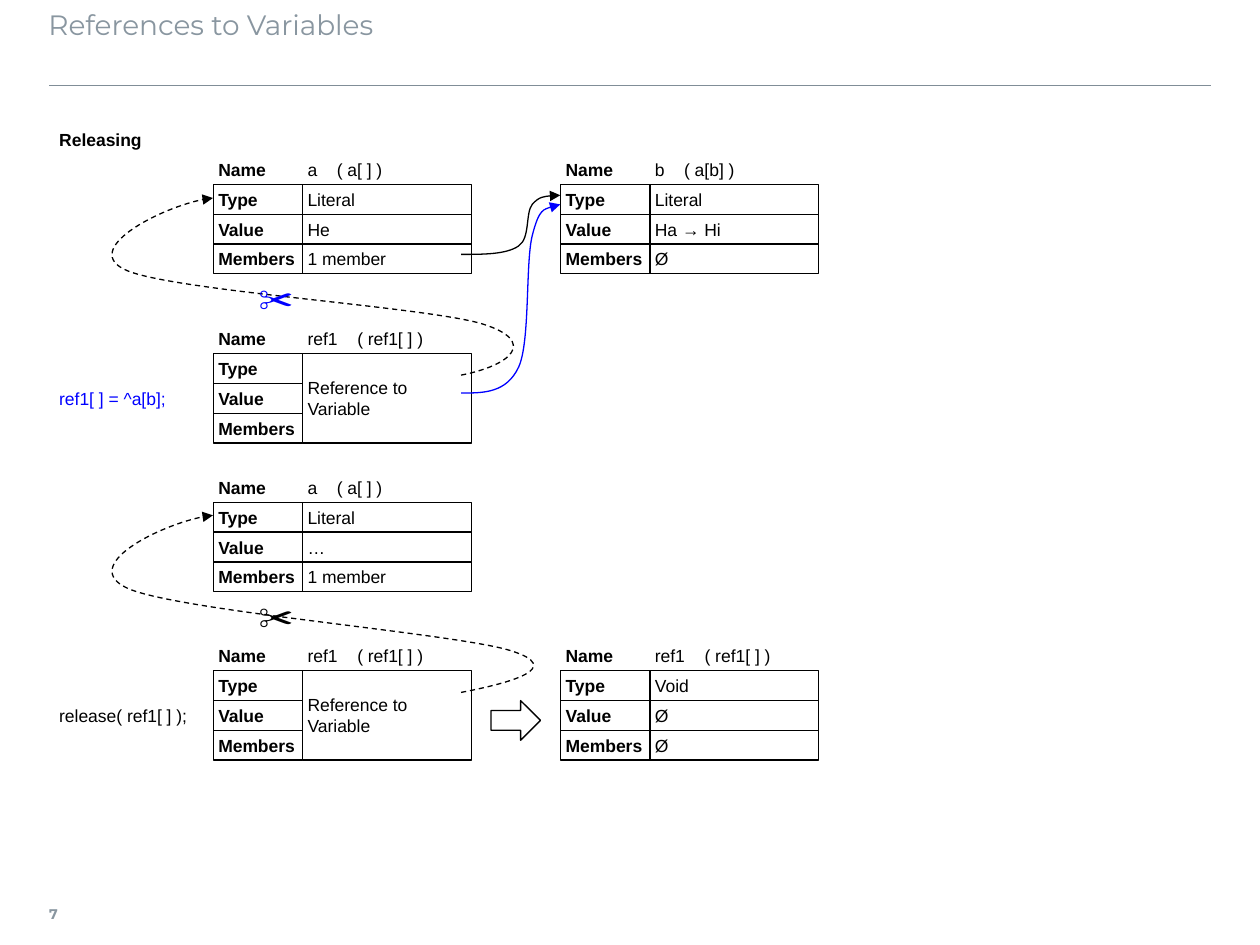
from dataclasses import dataclass

from lxml.etree import SubElement
from pptx import Presentation
from pptx.dml.color import RGBColor
from pptx.enum.dml import MSO_LINE
from pptx.enum.shapes import MSO_CONNECTOR, MSO_SHAPE
from pptx.enum.text import MSO_ANCHOR, PP_ALIGN
from pptx.oxml.ns import qn
from pptx.util import Pt

BLACK = RGBColor(0x00, 0x00, 0x00)
BLUE = RGBColor(0x00, 0x00, 0xFF)
GREY = RGBColor(0x89, 0x96, 0xA0)
RULE = RGBColor(0x80, 0x8D, 0x97)

ROW, KEY, VAL = 17, 51, 96.4
LEFT, RIGHT = 121.9, 320.4
TOPS = (88.5, 185.2, 270.1, 366.3)
EDGE = 2.83
KEYS = ("Type", "Value", "Members")
LINK = ("Reference to\nVariable",)


@dataclass
class Style:
    size: float = 10
    bold: bool = False
    color: RGBColor = BLACK
    font: str = "Arial"
    anchor: MSO_ANCHOR = MSO_ANCHOR.MIDDLE
    pads: tuple = (EDGE, EDGE, 0, EDGE)


@dataclass
class Box:
    left: float
    top: float
    width: float
    height: float


@dataclass
class Card:
    left: float
    top: float
    name: str
    alias: str
    values: tuple


@dataclass
class Curve:
    start: tuple
    bends: list
    color: RGBColor = BLACK
    dashed: bool = False


PLAIN = Style()
BOLD = Style(bold=True)

CARDS = [
    Card(LEFT, TOPS[0], "a", "( a[ ] )", ("Literal", "He", "1 member")),
    Card(LEFT, TOPS[1], "ref1", "( ref1[ ] )", LINK),
    Card(RIGHT, TOPS[0], "b", "( a[b] )", ("Literal", "Ha → Hi", "Ø")),
    Card(LEFT, TOPS[2], "a", "( a[ ] )", ("Literal", "…", "1 member")),
    Card(LEFT, TOPS[3], "ref1", "( ref1[ ] )", LINK),
    Card(RIGHT, TOPS[3], "ref1", "( ref1[ ] )", ("Void", "Ø", "Ø")),
]

CURVES = [
    Curve((263.5, 214.4), [
        ((292.3, 208.8), (307.4, 195.1), (275.8, 185.2)),
        ((244.1, 175.4), (101.5, 166.5), (72.9, 154.8)),
        ((44.4, 143.1), (97.9, 115.2), (121.7, 113.2)),
    ], dashed=True),
    Curve((263.5, 145.4), [
        ((276.5, 145.4), (289.4, 145.4), (296.4, 140.6)),
        ((303.1, 136.1), (300.2, 121.7), (304.2, 116.8)),
        ((308.2, 112.3), (314.6, 111.6), (320.2, 111.6)),
    ]),
    Curve((263.5, 224.6), [
        ((276.5, 224.6), (289.4, 224.6), (296.4, 209.8)),
        ((303.1, 195.1), (300.2, 150.5), (304.2, 134.6)),
        ((308.2, 118.8), (314.6, 118.1), (320.2, 116.8)),
    ], color=BLUE),
    Curve((263.5, 395.7), [
        ((292.3, 390.2), (323.3, 381.6), (291.6, 371.8)),
        ((259.9, 361.9), (101.5, 349.2), (72.9, 336.2)),
        ((44.4, 323.3), (97.9, 296.6), (121.7, 294.5)),
    ], dashed=True),
]

LABELS = [
    ("Releasing", Box(31, 71.3, 60, ROW), BOLD),
    ("ref1[ ] = ^a[b];", Box(31, 219.2, 80, ROW), Style(color=BLUE)),
    ("release( ref1[ ] );", Box(31, 400.3, 80, ROW), PLAIN),
    ("✂", Box(145, 162.2, 28, ROW), Style(size=20, color=BLUE)),
    ("✂", Box(145, 343.6, 28, ROW), Style(size=20)),
    ("References to Variables", Box(27.7, 0.7, 663, 45.4),
     Style(16, False, GREY, "Montserrat", MSO_ANCHOR.TOP, (0, 3.6, 7.2, 3.6))),
    ("7", Box(28.1, 508.3, 25.2, 28.1),
     Style(8, True, GREY, "Montserrat", pads=(0, 3.6, 5.8, 3.6))),
]


def write(shape, text: str, style: Style, stop: float = 0) -> None:
    frame = shape.text_frame
    frame.word_wrap = True
    frame.vertical_anchor = style.anchor
    (frame.margin_left, frame.margin_top,
     frame.margin_right, frame.margin_bottom) = map(Pt, style.pads)
    frame.text = text
    for para in frame.paragraphs:
        para.alignment = PP_ALIGN.LEFT
        if stop:
            tabs = SubElement(para._p.get_or_add_pPr(), qn("a:tabLst"))
            SubElement(tabs, qn("a:tab"), pos=str(Pt(stop)), algn="l")
        for run in para.runs:
            font = run.font
            font.name, font.size, font.bold = style.font, Pt(style.size), style.bold
            font.color.rgb = style.color


def label(slide, text: str, box: Box, style: Style, stop: float = 0) -> None:
    shape = slide.shapes.add_textbox(
        Pt(box.left), Pt(box.top), Pt(box.width), Pt(box.height))
    write(shape, text, style, stop)


def ink(shape, color: RGBColor = BLACK) -> None:
    shape.shadow.inherit = False
    shape.fill.background()
    shape.line.color.rgb = color
    shape.line.width = Pt(0.75)


def outline(slide, kind: MSO_SHAPE, box: Box):
    shape = slide.shapes.add_shape(
        kind, Pt(box.left), Pt(box.top), Pt(box.width), Pt(box.height))
    ink(shape)
    return shape


def column(slide, box: Box, texts: tuple, style: Style) -> None:
    high = box.height / len(texts)
    for i, text in enumerate(texts):
        cell = Box(box.left, box.top + i * high, box.width, high)
        write(outline(slide, MSO_SHAPE.RECTANGLE, cell), text, style)


def table(slide, card: Card) -> None:
    mid, body = card.left + KEY, card.top + ROW
    stop = 16.7 if len(card.name) == 1 else 28.4
    label(slide, "Name", Box(card.left, card.top, KEY, ROW), BOLD)
    label(slide, f"{card.name}\t{card.alias}", Box(mid, card.top, VAL, ROW), PLAIN, stop)
    column(slide, Box(card.left, body, KEY, 3 * ROW), KEYS, BOLD)
    column(slide, Box(mid, body, VAL, 3 * ROW), card.values, PLAIN)


def draw(slide, curve: Curve) -> None:
    x, y = curve.start
    pen = slide.shapes.build_freeform(Pt(x), Pt(y))
    ends = [(Pt(end[0]), Pt(end[1])) for _, _, end in curve.bends]
    pen.add_line_segments(ends, close=False)
    shape = pen.convert_to_shape()
    ink(shape, curve.color)
    if curve.dashed:
        shape.line.dash_style = MSO_LINE.DASH
    SubElement(shape.line._get_or_add_ln(), qn("a:tailEnd"), type="triangle")
    steps = list(shape._element.iter(qn("a:lnTo")))
    for step, bend in zip(steps, curve.bends):
        trail = step.getparent()
        arc = SubElement(trail, qn("a:cubicBezTo"))
        for x, y in bend:
            SubElement(arc, qn("a:pt"), x=str(Pt(x) - shape.left), y=str(Pt(y) - shape.top))
        trail.replace(step, arc)


def main() -> None:
    deck = Presentation()
    deck.slide_width, deck.slide_height = Pt(720), Pt(540)
    slide = deck.slides.add_slide(deck.slide_layouts[6])
    rule = slide.shapes.add_connector(
        MSO_CONNECTOR.STRAIGHT, Pt(28.2), Pt(48.8), Pt(691.8), Pt(48.8))
    rule.line.color.rgb = RULE
    rule.line.width = Pt(1)
    SubElement(rule._element.spPr, qn("a:effectLst"))
    for card in CARDS:
        table(slide, card)
    for curve in CURVES:
        draw(slide, curve)
    for text, box, style in LABELS:
        label(slide, text, box, style)
    outline(slide, MSO_SHAPE.RIGHT_ARROW, Box(280.6, 400.3, 28.3, 22.7))
    deck.save("out.pptx")


if __name__ == "__main__":
    main()
